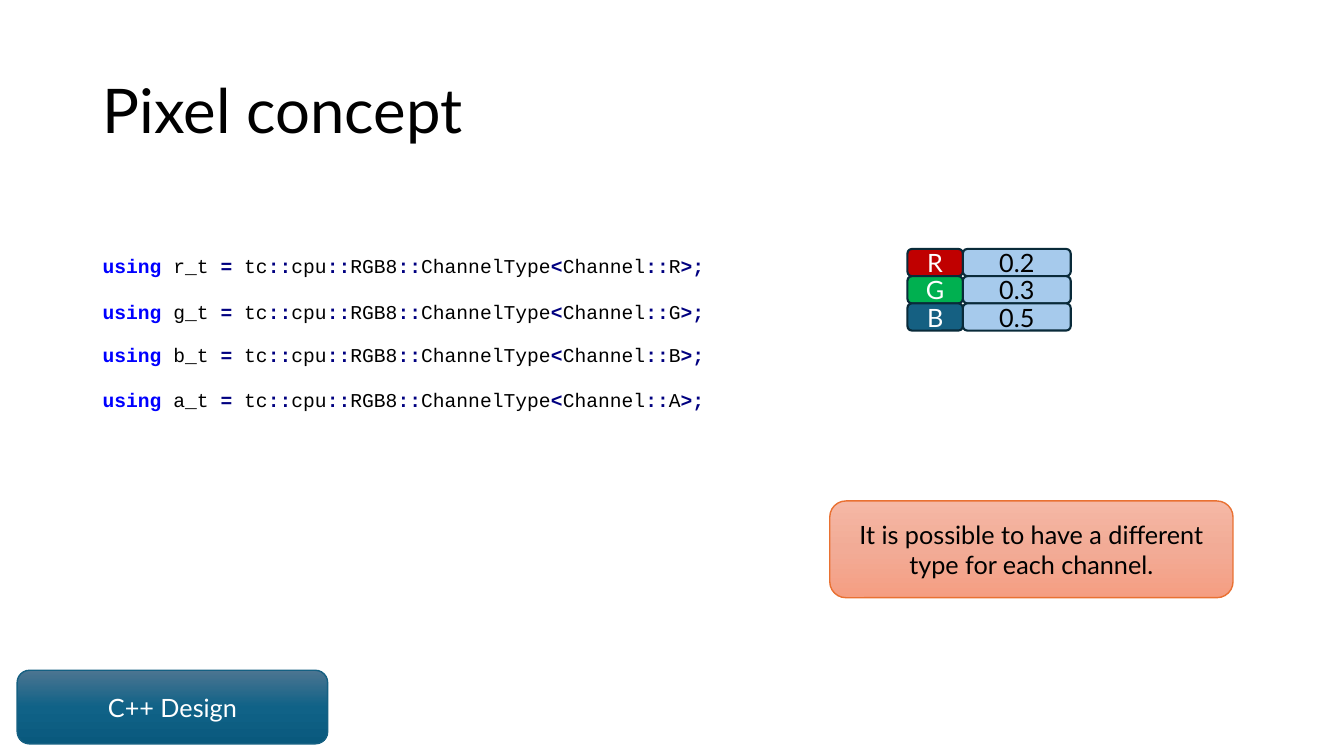
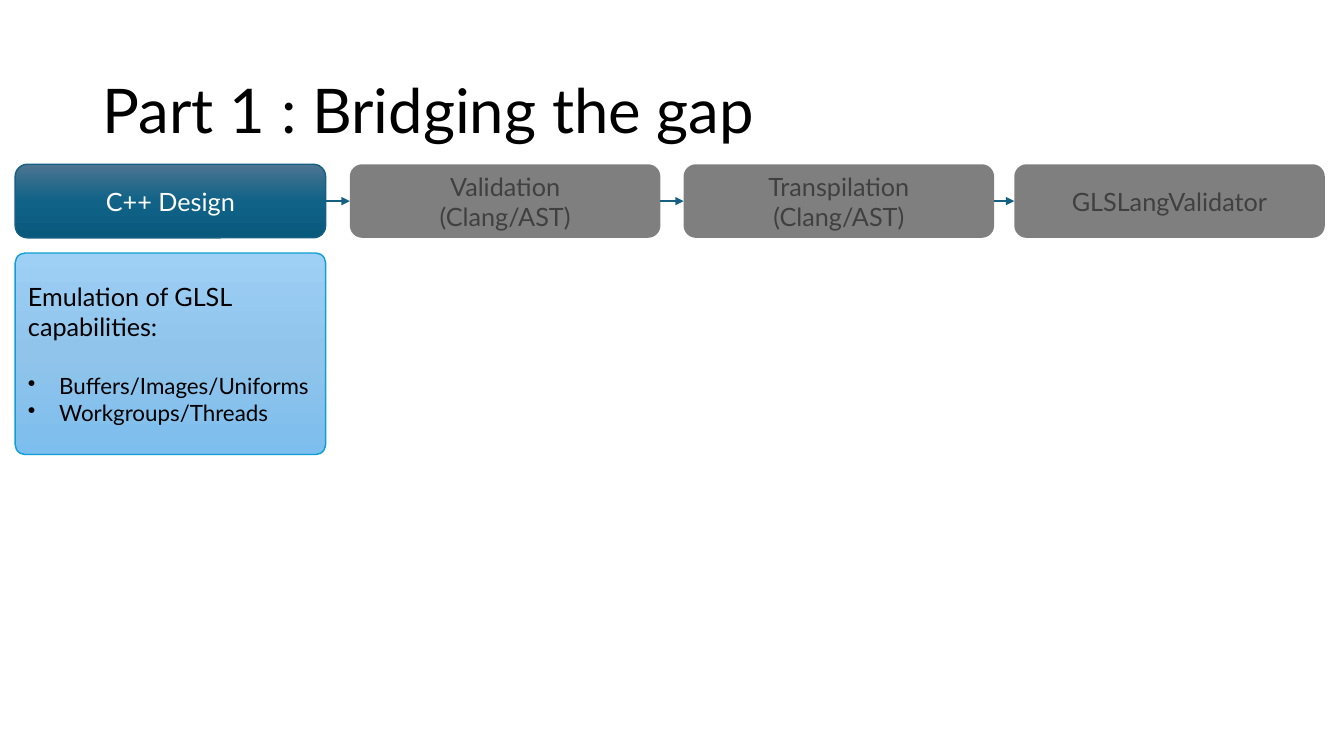
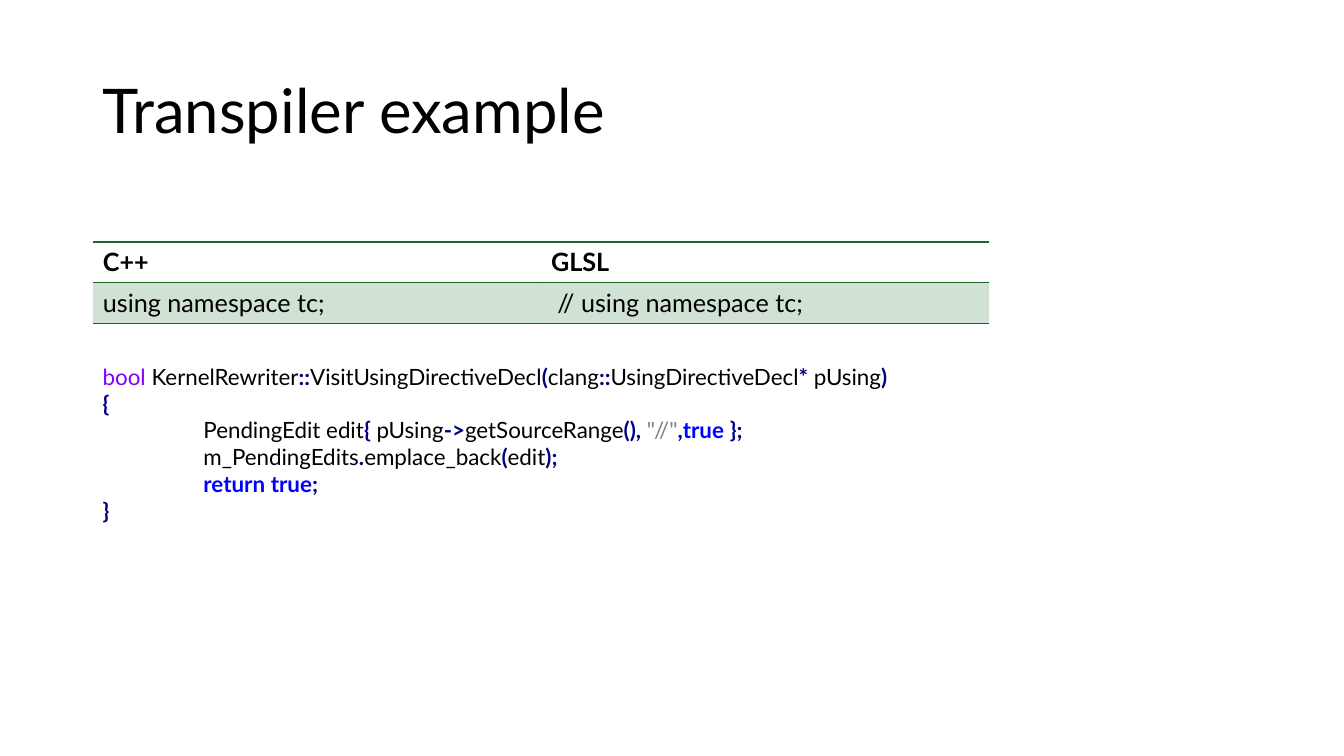
from collections import namedtuple
from itertools import groupby, pairwise

from lxml import etree
from pptx import Presentation
from pptx.dml.color import RGBColor
from pptx.enum.shapes import MSO_CONNECTOR, MSO_SHAPE
from pptx.enum.text import MSO_ANCHOR, PP_ALIGN
from pptx.oxml.ns import qn
from pptx.util import Pt

ROUNDED = MSO_SHAPE.ROUNDED_RECTANGLE
STRAIGHT = MSO_CONNECTOR.STRAIGHT
MIDDLE = MSO_ANCHOR.MIDDLE
LEFT, CENTER = PP_ALIGN.LEFT, PP_ALIGN.CENTER

EMU_PER_PX = 9144
SLIDE_W, SLIDE_H = 1333, 750
MARGIN = 92
STAGE_W, STAGE_H = 308, 73
TAB_W = 100

TEXT_FONT, CODE_FONT = "Lato", "Courier New"
BLACK, WHITE = "000000", "FFFFFF"
TEAL, DARK_TEAL, GREEN = "156082", "092A39", "196B24"
KEYWORD, TYPE, SYMBOL, STRING = "0000FF", "8000FF", "000080", "808080"
KEYWORDS = {"using", "return", "true"}
NO_TABLE_STYLE = "{2D5ABB26-0587-4C30-8999-92F81FD0307C}"

# fill holds one colour, or the three colours of a vertical gradient
Style = namedtuple("Style", "fill text outline outline_pt opacity",
                   defaults=(None, 1, 100))
ACTIVE = Style(("4C7591", "106287", "09597D"), WHITE, TEAL)
INACTIVE = Style(BLACK, "404040", opacity=50)
NOTE = Style(("F5B8A5", "F2AB96", "F59E82"), BLACK, "E97132")
DETAIL = Style(("9ECFF5", "90C4EB", "7CBEED"), BLACK, "0F9ED5")


def px(*lengths):
    return [length * EMU_PER_PX for length in lengths]


def rgb(color):
    return RGBColor.from_string(color)


def set_font(font, size, color, name=TEXT_FONT, bold=False):
    font.name, font.size, font.bold = name, Pt(size), bold
    font.color.rgb = rgb(color)


def add_element(parent, tag, **attributes):
    return etree.SubElement(parent, qn(tag), attributes)


def set_opacity(properties, percent):
    color = properties.find(qn("a:solidFill") + "/" + qn("a:srgbClr"))
    add_element(color, "a:alpha", val=str(percent * 1000))


def set_gradient(shape, colors):
    shape.fill.gradient()
    shape.fill.gradient_angle = 270
    stops = shape._element.spPr.find(qn("a:gradFill") + "/" + qn("a:gsLst"))
    for stop in list(stops):
        stops.remove(stop)
    for index, color in enumerate(colors):
        stop = add_element(stops, "a:gs", pos=str(index * 50000))
        add_element(stop, "a:srgbClr", val=color)


def add_card(shapes, box, style, lines, align=CENTER):
    """Add a rounded box and write one paragraph for each line."""
    card = shapes.add_shape(ROUNDED, *px(*box))
    card.shadow.inherit = False
    if isinstance(style.fill, tuple):
        set_gradient(card, style.fill)
    else:
        card.fill.solid()
        card.fill.fore_color.rgb = rgb(style.fill)
    if style.opacity < 100:
        set_opacity(card._element.spPr, style.opacity)
    if style.outline:
        card.line.color.rgb = rgb(style.outline)
        card.line.width = Pt(style.outline_pt)
    else:
        card.line.fill.background()
    frame = card.text_frame
    frame.word_wrap = True
    frame.vertical_anchor = MIDDLE
    frame.text = "\n".join(lines)
    for paragraph in frame.paragraphs:
        paragraph.alignment = align
        set_font(paragraph.font, 18, style.text)
    return card


def add_stage(slide, left, top, style, *lines):
    return add_card(slide.shapes, (left, top, STAGE_W, STAGE_H), style, lines)


def add_bullet(paragraph):
    properties = paragraph._p.get_or_add_pPr()
    indent = 31 * EMU_PER_PX
    properties.set("marL", str(indent))
    properties.set("indent", str(-indent))
    bullet = etree.Element(qn("a:buChar"), char="•")
    properties.insert(0, bullet)


def add_tab_stop(paragraph):
    tabs = etree.Element(qn("a:tabLst"))
    add_element(tabs, "a:tab", pos=str(TAB_W * EMU_PER_PX), algn="l")
    paragraph._p.get_or_add_pPr().insert(0, tabs)


def add_arrow(slide, source, target):
    arrow = slide.shapes.add_connector(STRAIGHT, 0, 0, 0, 0)
    arrow.begin_connect(source, 3)
    arrow.end_connect(target, 1)
    arrow.line.color.rgb = rgb(TEAL)
    arrow.line.width = Pt(1.5)
    add_element(arrow.line._get_or_add_ln(), "a:tailEnd", type="triangle")
    add_element(arrow._element.spPr, "a:effectLst")


def add_textbox(slide, box):
    frame = slide.shapes.add_textbox(*px(*box)).text_frame
    frame.word_wrap = True
    return frame


def add_titled_slide(deck, title):
    slide = deck.slides.add_slide(deck.slide_layouts[6])
    frame = add_textbox(slide, (MARGIN, 40, 1150, 145))
    frame.vertical_anchor = MIDDLE
    frame.text = title
    heading = frame.paragraphs[0]
    heading.line_spacing = 0.9
    set_font(heading.font, 44, BLACK)
    return slide


def char_class(char):
    if char.isspace():
        return "space"
    return "word" if char.isalnum() or char == "_" else "symbol"


def tokens(line):
    """Yield (text, colour, bold) for each token of a line of C++."""
    for index, part in enumerate(line.split('"')):
        if index % 2:
            yield f'"{part}"', STRING, False
            continue
        for kind, chars in groupby(part, char_class):
            token = "".join(chars)
            if kind == "symbol":
                yield token, SYMBOL, True
            elif token in KEYWORDS:
                yield token, KEYWORD, True
            else:
                yield token, TYPE if token == "bool" else BLACK, False


def add_code(slide, box, code, size, font_name):
    frame = add_textbox(slide, box)
    frame.text = code
    for paragraph, line in zip(frame.paragraphs, code.split("\n")):
        paragraph.clear()
        paragraph.font.name, paragraph.font.size = font_name, Pt(size)
        if line.startswith("\t"):
            add_tab_stop(paragraph)
        for token, color, bold in tokens(line):
            run = paragraph.add_run()
            run.text = token
            run.font.bold = bold
            run.font.color.rgb = rgb(color)


def set_rules(cell):
    """Draw the top and bottom borders of a table cell."""
    properties = cell._tc.get_or_add_tcPr()
    for position, edge in enumerate(("a:lnT", "a:lnB")):
        border = etree.Element(qn(edge), w=str(Pt(1)))
        fill = add_element(border, "a:solidFill")
        add_element(fill, "a:srgbClr", val=GREEN)
        properties.insert(position, border)


def add_comparison(slide, box, rows):
    table = slide.shapes.add_table(len(rows), len(rows[0]), *px(*box)).table
    table._tbl.tblPr.find(qn("a:tableStyleId")).text = NO_TABLE_STYLE
    for row_index, row in enumerate(rows):
        is_header = row_index == 0
        for column_index, text in enumerate(row):
            cell = table.cell(row_index, column_index)
            cell.text = text
            set_font(cell.text_frame.paragraphs[0].font, 18, BLACK,
                     bold=is_header)
            if is_header:
                cell.fill.background()
            else:
                cell.fill.solid()
                cell.fill.fore_color.rgb = rgb(GREEN)
                set_opacity(cell._tc.tcPr, 20)
            set_rules(cell)


def build_pixel_slide(deck):
    slide = add_titled_slide(deck, "Pixel concept")
    add_stage(slide, 17, 665, ACTIVE, "C++ Design")
    for channel, top in zip("RGBA", (247, 293, 335, 380)):
        code = (f"using {channel.lower()}_t = "
                f"tc::cpu::RGB8::ChannelType<Channel::{channel}>;")
        add_code(slide, (MARGIN, top, 667, 34), code, 14, CODE_FONT)

    pixel = slide.shapes.add_group_shape().shapes
    value_style = Style("A6CAEC", BLACK, DARK_TEAL, 1.5)
    channels = (("R", "C00000", "0.2"), ("G", "00B050", "0.3"),
                ("B", TEAL, "0.5"))
    row_height = 27
    for index, (channel, color, value) in enumerate(channels):
        top = 247 + index * row_height
        channel_style = Style(color, WHITE, DARK_TEAL, 1.5)
        add_card(pixel, (900, top, 55, row_height), channel_style, [channel])
        add_card(pixel, (955, top, 107, row_height), value_style, [value])

    add_card(slide.shapes, (823, 497, 400, 96), NOTE,
             ["It is possible to have a different type for each channel."])


def build_pipeline_slide(deck):
    slide = add_titled_slide(deck, "Part 1 : Bridging the gap")
    top = 163
    stages = [
        add_stage(slide, 15, top, ACTIVE, "C++ Design"),
        add_stage(slide, 347, top, INACTIVE, "Validation", "(Clang/AST)"),
        add_stage(slide, 678, top, INACTIVE, "Transpilation", "(Clang/AST)"),
        add_stage(slide, 1006, top, INACTIVE, "GLSLangValidator"),
    ]
    for source, target in pairwise(stages):
        add_arrow(slide, source, target)

    emulation = add_card(
        slide.shapes, (15, 251, STAGE_W, 200), DETAIL,
        ["Emulation of GLSL capabilities:", "Buffers/Images/Uniforms",
         "Workgroups/Threads"], LEFT)
    emulation.adjustments[0] = 0.05
    heading, *capabilities = emulation.text_frame.paragraphs
    heading.space_after = Pt(22)
    for capability in capabilities:
        capability.font.size = Pt(16)
        add_bullet(capability)


def build_transpiler_slide(deck):
    slide = add_titled_slide(deck, "Transpiler example")
    code = "\n".join((
        "bool KernelRewriter::VisitUsingDirectiveDecl"
        "(clang::UsingDirectiveDecl* pUsing)",
        "{",
        '\tPendingEdit edit{ pUsing->getSourceRange(), "//",true };',
        "\tm_PendingEdits.emplace_back(edit);",
        "\treturn true;",
        "}",
    ))
    add_code(slide, (MARGIN, 355, 840, 172), code, 16, TEXT_FONT)
    add_comparison(slide, (MARGIN, 240, 889, 81), (
        ("C++", "GLSL"),
        ("using namespace tc;", " // using namespace tc;"),
    ))


def main():
    deck = Presentation()
    deck.slide_width, deck.slide_height = px(SLIDE_W, SLIDE_H)
    build_pixel_slide(deck)
    build_pipeline_slide(deck)
    build_transpiler_slide(deck)
    deck.save("out.pptx")


if __name__ == "__main__":
    main()
